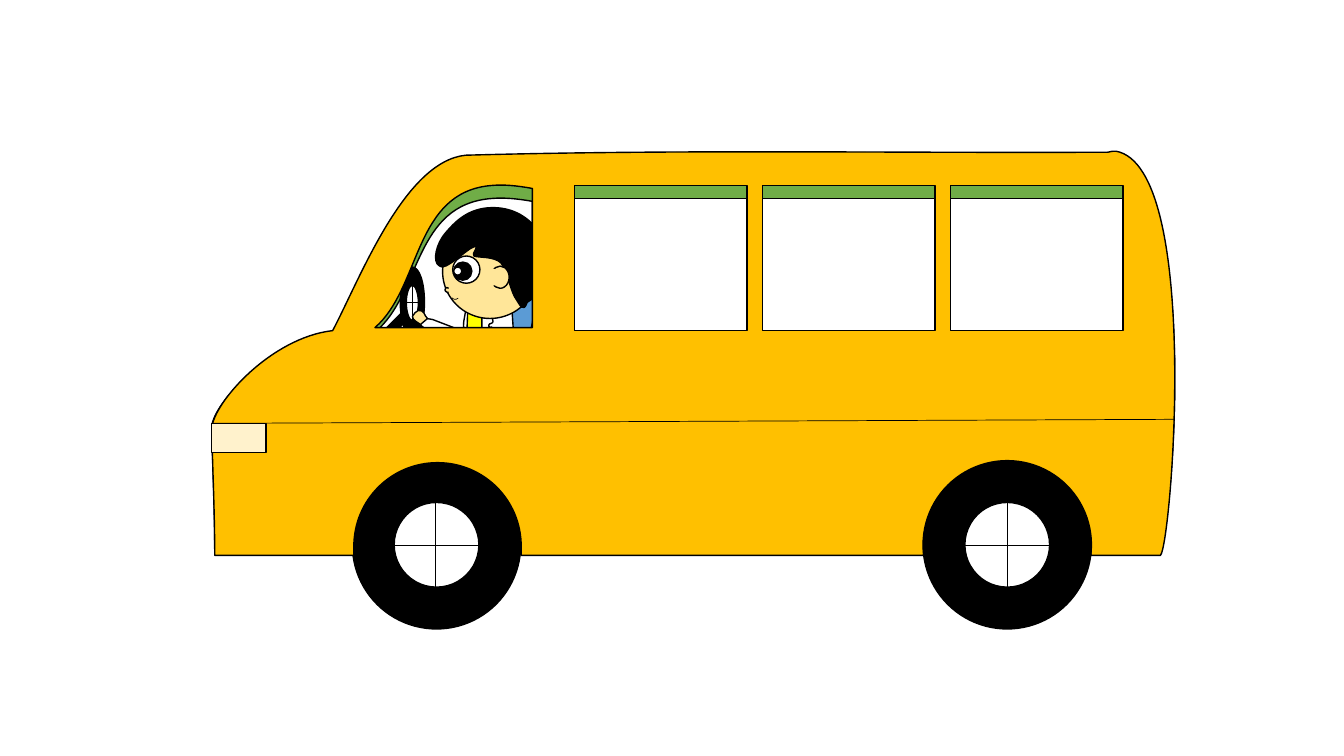
from lxml.etree import SubElement
from pptx import Presentation
from pptx.dml.color import RGBColor
from pptx.enum.shapes import MSO_CONNECTOR, MSO_SHAPE
from pptx.oxml.ns import qn
from pptx.util import Inches, Pt

COLORS = {
    "bus": "FFC000", "valance": "70AD47", "black": "000000", "white": "FFFFFF",
    "seat": "5B9BD5", "skin": "FFE699", "belt": "FFFF00", "lamp": "FFF2CC",
}
PATH_TAGS = {"M": "a:moveTo", "L": "a:lnTo", "C": "a:cubicBezTo"}
CURVE_STEPS = 16
WHEEL, HUB = 1.67, 0.84
WHEEL_TOP, AXLE_Y = 4.57, 5.41
FRONT_AXLE, REAR_AXLE = 4.33, 9.99
FLOOR, ROOF = 5.51, 1.5
WINDOW_LEFT, WINDOW_PITCH, WINDOW_WIDTH = 5.7, 1.865, 1.71


def bezier(*corners):
    """Return points along a cubic curve, without its start."""
    points = []
    for step in range(1, CURVE_STEPS + 1):
        t = step / CURVE_STEPS
        weights = ((1 - t) ** 3, 3 * t * (1 - t) ** 2, 3 * t * t * (1 - t), t ** 3)
        points.append(tuple(
            sum(weight * value for weight, value in zip(weights, axis))
            for axis in zip(*corners)
        ))
    return points


def trace(outline):
    """Turn 'x,y L x,y ... C x,y x,y x,y ...' into (command, points) segments."""
    segments, pending, command = [], [], "M"
    for token in outline.split():
        if token in PATH_TAGS:
            command = token
            continue
        pending.append(tuple(float(number) for number in token.split(",")))
        if len(pending) == (3 if command == "C" else 1):
            segments.append((command, pending))
            pending = []
            command = "L" if command == "M" else command
    return segments


def flatten(segments):
    """Return the points the segments pass through, to measure their extent."""
    points = []
    for command, corners in segments:
        points += bezier(points[-1], *corners) if command == "C" else corners
    return points


def arch(axle):
    """Outline of a wheel arch, from right to left."""
    right, left = axle + 0.83, axle - 0.83
    return (f"L {right},{FLOOR} {right},5.42 "
            f"C {right},4.96 {axle + 0.46},4.59 {axle},4.59 "
            f"{axle - 0.46},4.59 {left},4.96 {left},5.42 L {left},{FLOOR} ")


def side_window(index):
    left = WINDOW_LEFT + index * WINDOW_PITCH
    right = left + WINDOW_WIDTH
    return f"{left},1.84 {left},3.28 {right},3.28 {right},1.84"


class Drawing:
    """Draws on one slide, on a grid of one-inch columns and rows."""

    def __init__(self, slide, cell=Inches(1), weight=1, thin=0.5):
        self.shapes = slide.shapes.add_group_shape().shapes
        self.cell, self.weight, self.thin = cell, weight, thin

    def emu(self, *cells):
        return [round(value * self.cell) for value in cells]

    def ink(self, line, weight):
        line.color.rgb = RGBColor.from_string(COLORS["black"])
        line.width = Pt(weight)

    def finish(self, shape, fill, weight):
        shape.shadow.inherit = False
        if fill:
            shape.fill.solid()
            shape.fill.fore_color.rgb = RGBColor.from_string(COLORS[fill])
        else:
            shape.fill.background()
        if weight:
            self.ink(shape.line, weight)
        else:
            shape.line.fill.background()
        return shape

    def preset(self, kind, left, top, width, height, fill=None, weight=None):
        shape = self.shapes.add_shape(kind, *self.emu(left, top, width, height))
        return self.finish(shape, fill, self.weight if weight is None else weight)

    def oval(self, left, top, width, height, fill, weight=None):
        return self.preset(MSO_SHAPE.OVAL, left, top, width, height, fill, weight)

    def contours(self, outlines, fill=None, closed=True):
        """Draw one curved shape; outlines inside another one become holes."""
        vertices = [self.emu(*point) for outline in outlines for point in flatten(outline)]
        builder = self.shapes.build_freeform(*vertices[0], scale=1.0)
        builder.add_line_segments(vertices[1:], close=closed)
        shape = builder.convert_to_shape()
        curve = next(shape._element.iter(qn("a:path")))
        for child in list(curve):
            curve.remove(child)
        for outline in outlines:
            for command, corners in outline:
                segment = SubElement(curve, qn(PATH_TAGS[command]))
                for corner in corners:
                    x, y = self.emu(*corner)
                    SubElement(segment, qn("a:pt"), x=str(x - shape.left), y=str(y - shape.top))
            if closed:
                SubElement(curve, qn("a:close"))
        return self.finish(shape, fill, self.weight)

    def outline(self, text, fill=None, closed=True):
        return self.contours([trace(text)], fill, closed)

    def line(self, *ends):
        connector = self.shapes.add_connector(MSO_CONNECTOR.STRAIGHT, *self.emu(*ends))
        self.ink(connector.line, self.thin)
        SubElement(connector._element.spPr, qn("a:effectLst"))

    def cross(self, x, y, width, height):
        self.line(x - width / 2, y, x + width / 2, y)
        self.line(x, y - height / 2, x, y + height / 2)

    def wheel(self, axle):
        tyre = self.preset(MSO_SHAPE.DONUT, axle - WHEEL / 2, WHEEL_TOP, WHEEL, WHEEL, "black")
        tyre.adjustments[0] = (WHEEL - HUB) / 2 / WHEEL


def draw_cab(drawing):
    column = drawing.preset(MSO_SHAPE.ROUNDED_RECTANGLE, 3.68, 3.01, 0.09, 0.83, "black")
    column.rotation = 44.9
    drawing.contours([
        trace("4.09,2.65 C 4.16,2.65 4.21,2.8 4.21,3 4.21,3.19 4.16,3.35 4.09,3.35 "
              "4.03,3.35 3.97,3.19 3.97,3 3.97,2.8 4.03,2.65 4.09,2.65"),
        trace("4.09,2.83 C 4.06,2.83 4.03,2.91 4.03,3 4.03,3.1 4.06,3.18 4.09,3.18 "
              "4.12,3.18 4.15,3.1 4.15,3 4.15,2.91 4.12,2.83 4.09,2.83"),
    ], "black")
    drawing.oval(5.01, 2.58, 0.29, 0.83, "seat")
    drawing.cross(4.09, 3, 0.12, 0.35)


def draw_driver(drawing):
    drawing.outline("4.71,2.96 L 4.72,3.23 C 4.67,3.5 4.58,3.28 4.6,3.19 L 4.64,2.96", "white")
    drawing.outline("4.64,3.06 L 5.04,3.01 5.1,3.33 C 4.95,3.35 4.83,3.38 4.63,3.34", "belt")
    drawing.outline("5.08,3.09 L 5.11,3.56 4.78,3.56 4.78,3.09", "white")
    shirt_fold = ("4.86,3.11 C 4.88,3.14 4.89,3.17 4.89,3.19 4.89,3.21 4.85,3.21 4.85,3.22 "
                  "4.84,3.23 4.85,3.24 4.86,3.25 4.86,3.25 4.89,3.23 4.88,3.27 "
                  "4.87,3.3 4.83,3.4 4.81,3.45 4.79,3.5 4.77,3.56 4.77,3.56")
    drawing.outline(shirt_fold, closed=False)
    drawing.oval(4.39, 2.23, 0.94, 0.93, "skin")
    hair = ("4.42,2.31 C 4.5,2.22 4.63,2.06 4.89,2.06 5.14,2.06 5.29,2.21 5.35,2.31 "
            "5.44,2.47 5.49,2.85 5.23,3 5.19,3.11 5.16,3.03 5.12,2.97 "
            "5.07,2.91 5.03,2.69 4.97,2.61 4.9,2.54 4.74,2.56 4.7,2.54 "
            "4.67,2.52 4.77,2.43 4.7,2.45 4.63,2.47 4.41,2.7 4.36,2.64 "
            "4.28,2.6 4.33,2.41 4.42,2.31")
    drawing.outline(hair, "black")
    drawing.oval(4.49, 2.54, 0.27, 0.27, "white")
    lips = ("4.45,2.86 C 4.44,2.85 4.42,2.85 4.42,2.86 4.41,2.86 4.41,2.89 4.42,2.89 "
            "4.42,2.9 4.45,2.9 4.45,2.9")
    drawing.outline(lips, "skin", closed=False)
    smile = drawing.preset(MSO_SHAPE.ARC, 4.47, 2.88, 0.09, 0.09, weight=drawing.thin)
    smile.rotation = 139.2
    drawing.oval(4.5, 2.6, 0.18, 0.18, "black")
    drawing.oval(4.5, 2.65, 0.08, 0.08, "white")
    drawing.oval(4.87, 2.64, 0.18, 0.22, "skin")
    drawing.oval(4.78, 2.66, 0.18, 0.18, "skin", weight=0)
    near_sleeve = "4.55,3.27 L 4.29,3.17 C 4.03,3.12 4.2,3.28 4.29,3.29 L 4.52,3.34"
    drawing.outline(near_sleeve, "white")
    hand = ("4.17,3.22 L 4.24,3.16 C 4.21,3.14 4.21,3.07 4.15,3.08 "
            "4.13,3.09 4.1,3.11 4.09,3.14 4.09,3.18 4.15,3.2 4.17,3.22")
    drawing.outline(hand, "skin")


def draw_bus(drawing):
    shell = ("11.07,1.5 C 11.92,1.66 11.62,5.39 11.51,5.51 "
             + arch(REAR_AXLE) + arch(FRONT_AXLE + 0.01)
             + "L 2.13,5.51 C 2.13,5.09 2.11,4.67 2.1,4.25 2.12,3.99 2.69,3.35 3.3,3.28 "
             "3.57,2.77 4.01,1.6 4.62,1.54 6.74,1.48 8.86,1.52 10.99,1.51 "
             "11.02,1.5 11.04,1.5 11.07,1.5")
    cab_window = ("4.88,1.84 C 4.1,1.9 4.18,2.85 3.72,3.25 L 5.28,3.25 5.28,1.87 "
                  "C 5.12,1.84 4.99,1.83 4.88,1.84")
    body = [trace(text) for text in (shell, *map(side_window, range(3)), cab_window)]
    lining = [[(command, [(x, ROOF + 0.15 + (y - ROOF) * 0.94) for x, y in corners])
               for command, corners in segments] for segments in body]

    drawing.contours(lining, "valance")
    draw_cab(drawing)
    draw_driver(drawing)
    drawing.wheel(FRONT_AXLE)
    drawing.contours(body, "bus")
    drawing.wheel(REAR_AXLE)
    for axle in (FRONT_AXLE - 0.01, REAR_AXLE):
        drawing.cross(axle, AXLE_Y, HUB, HUB)
    drawing.line(2.1, 4.2, 11.65, 4.16)
    drawing.preset(MSO_SHAPE.RECTANGLE, 2.1, 4.2, 0.54, 0.29, "lamp")


def main():
    presentation = Presentation()
    presentation.slide_width, presentation.slide_height = Inches(13.33), Inches(7.5)
    draw_bus(Drawing(presentation.slides.add_slide(presentation.slide_layouts[6])))
    presentation.save("out.pptx")


main() if __name__ == "__main__" else None
